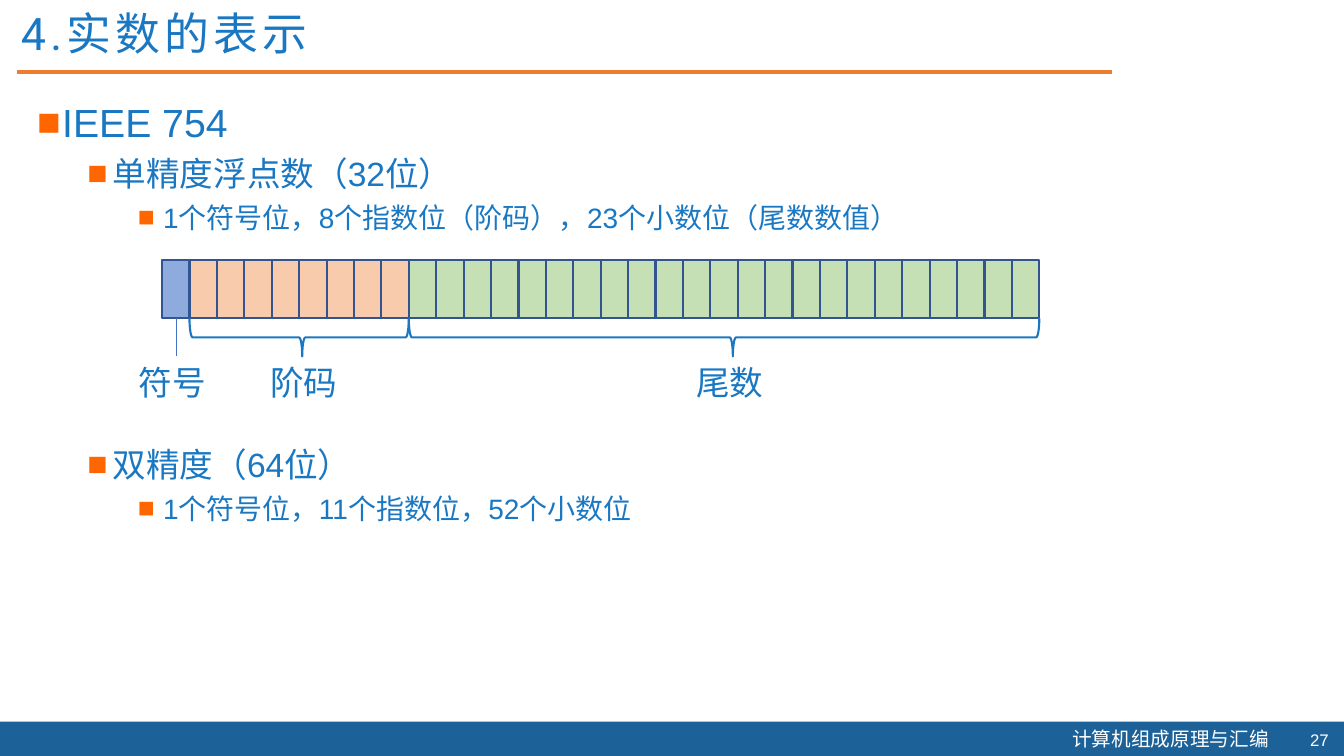
from lxml import etree
from pptx import Presentation
from pptx.dml.color import RGBColor as RGB
from pptx.enum.shapes import MSO_CONNECTOR as CONN, MSO_SHAPE as SHAPE
from pptx.enum.text import MSO_ANCHOR as ANCHOR, PP_ALIGN as ALIGN
from pptx.oxml.ns import qn
from pptx.util import Pt

C = {"text": "1A78C3", "bar": "1C6299", "rule": "ED7D31", "bullet": "FF6600",
     "white": "FFFFFF", "edge": "325491", "tick": "4472C4",
     "sign": "8FAADC", "exponent": "F8CBAD", "fraction": "C5E0B4"}

prs = Presentation()
prs.slide_width, prs.slide_height = Pt(960), Pt(540)
s = prs.slides.add_slide(prs.slide_layouts[6])


def add_text(text, x, y, w, h, size, color="text", font="Arial"):
    tf = s.shapes.add_textbox(Pt(x), Pt(y), Pt(w), Pt(h)).text_frame
    tf.word_wrap = True
    tf.text = text
    for p in tf.paragraphs:
        f = p.runs[0].font
        f.name, f.size, f.color.rgb = font, Pt(size), RGB.from_string(C[color])
    return tf


def add_line(x1, y1, x2, y2, color, width):
    ln = s.shapes.add_connector(CONN.STRAIGHT, Pt(x1), Pt(y1), Pt(x2), Pt(y2))
    ln.line.color.rgb, ln.line.width = RGB.from_string(C[color]), Pt(width)
    etree.SubElement(ln._element.spPr, qn("a:effectLst"))


# Footer bar, course name, page number and title rule
bar = s.shapes.add_shape(SHAPE.RECTANGLE, 0, Pt(515.5), Pt(960), Pt(24.5))
bar.shadow.inherit = False
bar.fill.solid()
bar.fill.fore_color.rgb = RGB.from_string(C["bar"])
bar.line.fill.background()
add_text("计算机组成原理与汇编", 758.9, 515.5, 157, 24.5, 14, "white", "Noto Sans CJK SC")
tf = add_text("27", 920.2, 517.7, 36, 21.6, 12, "white")
tf.vertical_anchor = ANCHOR.MIDDLE
tf.paragraphs[0].alignment = ALIGN.RIGHT
add_line(12.5, 51.3, 794.5, 51.3, "rule", 3)

# Bulleted outline: text, level, size, space before
outline = [
    ("IEEE 754", 0, 28, 10),
    ("单精度浮点数（32位）", 1, 24, 5),
    ("1个符号位，8个指数位（阶码），23个小数位（尾数数值）", 2, 20, 5),
    ("双精度（64位）", 1, 24, 150),
    ("1个符号位，11个指数位，52个小数位", 2, 20, 5),
]
tf = add_text("\n".join(row[0] for row in outline), 19.4, 67, 931.7, 437, 20)
for p, (_, level, size, before) in zip(tf.paragraphs, outline):
    p.level, p.space_before = level, Pt(before)
    p.runs[0].font.size = Pt(size)
    pPr = p._p.get_or_add_pPr()
    pPr.set("marL", str(Pt(18 + 36 * level)))
    pPr.set("indent", str(Pt(-18)))
    color = etree.SubElement(pPr, qn("a:buClr"))
    etree.SubElement(color, qn("a:srgbClr"), val=C["bullet"])
    etree.SubElement(pPr, qn("a:buFont"), typeface="Arial")
    etree.SubElement(pPr, qn("a:buChar"), char="■")

# Title
tf = add_text("4.实数的表示", 7.9, 5, 766.8, 34.6, 32, font="Roboto")
p = tf.paragraphs[0]
p.line_spacing, p.space_before = 0.9, Pt(10)
p.runs[0].font._element.set("spc", "300")

# The 32 bits: 1 sign, 8 exponent, 23 fraction
left, top, step, height = 115.8, 185.8, 19.58, 41.6
fields = ["sign"] + ["exponent"] * 8 + ["fraction"] * 23
for i, field in enumerate(fields):
    bit = s.shapes.add_shape(SHAPE.RECTANGLE, Pt(left + i * step), Pt(top), Pt(step), Pt(height))
    bit.shadow.inherit = False
    bit.fill.solid()
    bit.fill.fore_color.rgb = RGB.from_string(C[field])
    bit.line.color.rgb, bit.line.width = RGB.from_string(C["edge"]), Pt(1.5)

# Braces below the exponent and fraction, turned to point down
depth = 27.2
for first, count in [(1, 8), (9, 23)]:
    span = count * step
    x = left + first * step + span / 2 - depth / 2
    y = top + height + depth / 2 - span / 2
    brace = s.shapes.add_shape(SHAPE.LEFT_BRACE, Pt(x), Pt(y), Pt(depth), Pt(span))
    brace.rotation = 270
    brace.adjustments[0], brace.adjustments[1] = 0.083, 0.514
    brace.shadow.inherit = False
    brace.fill.background()
    brace.line.color.rgb, brace.line.width = RGB.from_string(C["text"]), Pt(1.5)

# Field labels and the sign tick
for label, x, w in [("尾数", 490.3, 76), ("阶码", 185.8, 76), ("符号", 92.2, 67)]:
    add_text(label, x, 254.9, w, 36, 24)
add_line(126, 227.4, 126, 254.6, "tick", 1.25)

prs.save("out.pptx")
